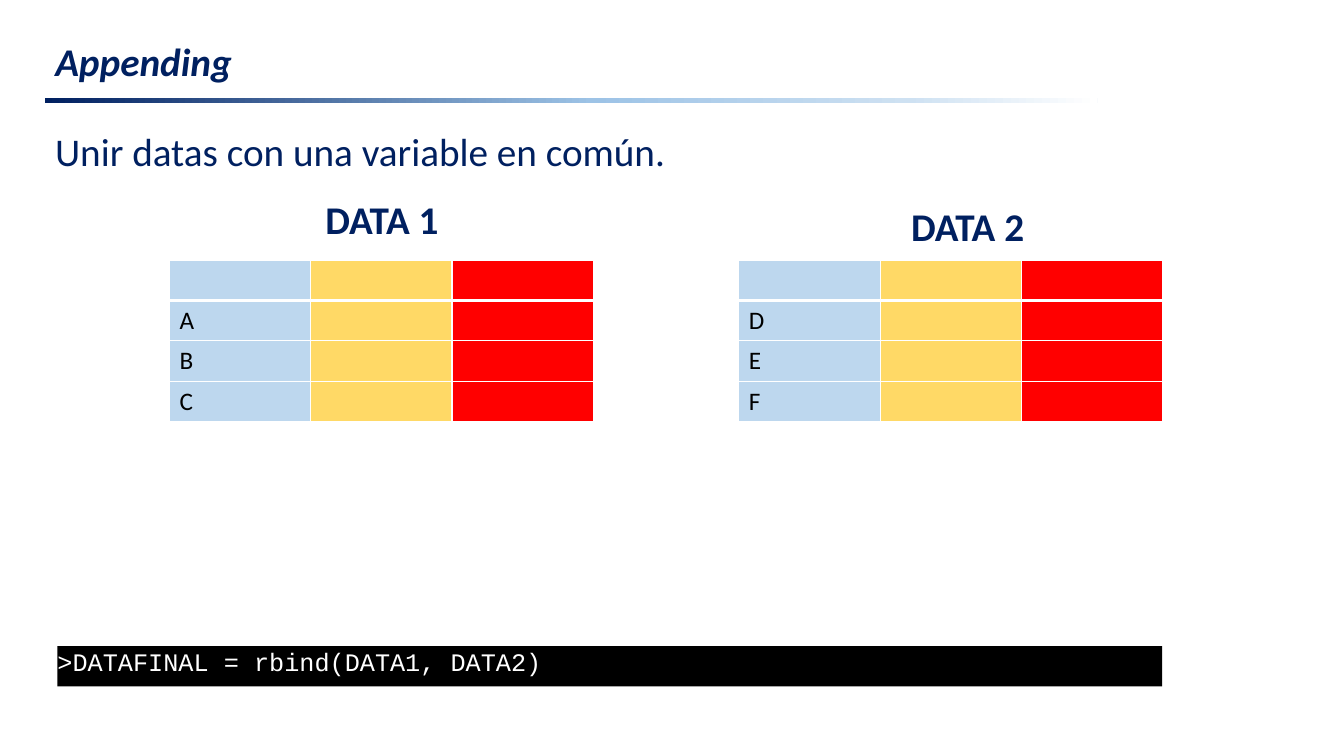
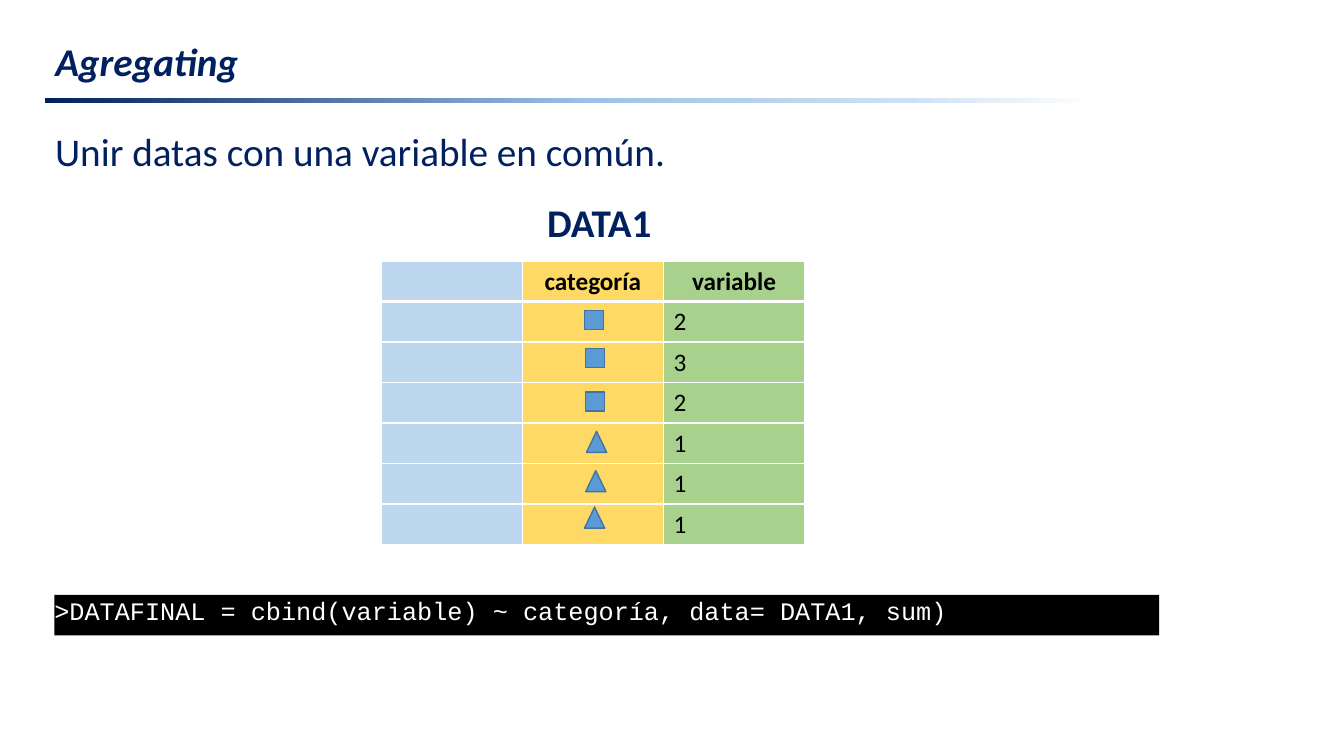
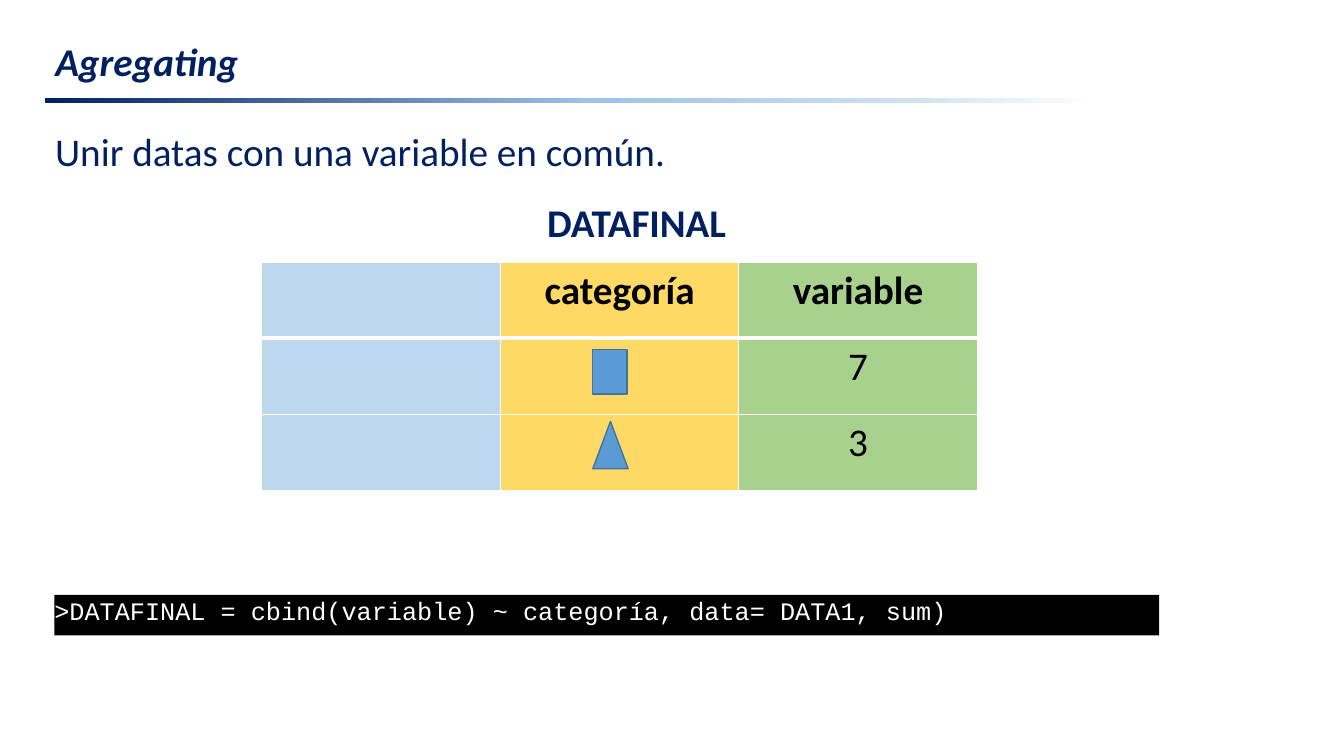
from lxml.etree import SubElement
from pptx import Presentation
from pptx.dml.color import RGBColor
from pptx.enum.shapes import MSO_SHAPE as Shape
from pptx.enum.text import MSO_ANCHOR as Anchor, MSO_AUTO_SIZE as AutoSize, PP_ALIGN as Align
from pptx.oxml.ns import qn
from pptx.util import Cm, Pt

NAVY, BLACK, WHITE = "002060", "000000", "FFFFFF"
BLUE, YELLOW, RED, GREEN = "BDD7EE", "FFD966", "FF0000", "A9D18E"
MARKER_FILL, MARKER_LINE = "5B9BD5", "43739E"
BAND_STOPS = [(0, NAVY), (52, "9DC3E6"), (82, "CEE1F2"), (100, WHITE)]
SUBTITLE = "Unir datas con una variable en común."
SQUARE, TRIANGLE = Shape.RECTANGLE, Shape.ISOSCELES_TRIANGLE

SUM_CODE = (">DATAFINAL = cbind(variable) ~ categoría, data= DATA1, sum)", 1.37, 14.99)
APPEND_LOOK = dict(top=6.55, col_width=3.56, row_height=1.02, size=18,
                   fills=(BLUE, YELLOW, RED), body_align=Align.LEFT)
HEADER = ("", "categoría", "variable")

# Lengths are centimetres; headings and code give text, left, top.
SLIDES = [
    dict(
        title="Appending",
        headings=[("DATA 1", 7.95, 4.8), ("DATA 2", 22.71, 4.98)],
        tables=[
            dict(APPEND_LOOK, left=left, rows=[("", "", "")] + [(key, "", "") for key in keys])
            for left, keys in ((4.27, "ABC"), (18.62, "DEF"))
        ],
        markers=[],
        code=(">DATAFINAL = rbind(DATA1, DATA2)", 1.45, 16.28),
    ),
    dict(
        title="Agregating",
        headings=[("DATA1", 13.54, 4.88)],
        tables=[dict(left=9.6, top=6.58, col_width=3.56, row_height=1.02, size=18,
                     fills=(BLUE, YELLOW, GREEN), body_align=Align.LEFT,
                     rows=[HEADER] + [("", "", value) for value in "232111"])],
        markers=[
            (SQUARE, (0.48, 0.48), [(14.73, 7.82), (14.76, 8.79), (14.76, 9.88)]),
            (TRIANGLE, (0.51, 0.53), [(14.78, 10.87), (14.76, 11.86), (14.73, 12.78)]),
        ],
        code=SUM_CODE,
    ),
    dict(
        title="Agregating",
        headings=[("DATAFINAL", 13.54, 4.88)],
        tables=[dict(left=6.6, top=6.6, col_width=6.01, row_height=1.92, size=28,
                     fills=(BLUE, YELLOW, GREEN), body_align=Align.CENTER,
                     rows=[HEADER] + [("", "", value) for value in "73"])],
        markers=[
            (SQUARE, (0.86, 1.12), [(14.94, 8.81)]),
            (TRIANGLE, (0.89, 1.19), [(14.94, 10.62)]),
        ],
        code=SUM_CODE,
    ),
]


def rgb(color):
    return RGBColor.from_string(color)


def box(*lengths):
    return [Cm(length) for length in lengths]


def write(frame, text, size=28, color=NAVY, bold=False, italic=False,
          font="Calibri", align=Align.LEFT):
    frame.text = text
    paragraph = frame.paragraphs[0]
    paragraph.alignment = align
    for part in [paragraph, *paragraph.runs]:
        part.font.name, part.font.size = font, Pt(size)
        part.font.bold, part.font.italic = bold, italic
        part.font.color.rgb = rgb(color)


def add_filled(slide, kind, place, fill, line=None):
    shape = slide.shapes.add_shape(kind, *place)
    shape.shadow.inherit = False
    shape.fill.solid()
    shape.fill.fore_color.rgb = rgb(fill)
    if line:
        shape.line.color.rgb = rgb(line)
        shape.line.width = Pt(1)
    else:
        shape.line.fill.background()
    return shape


def add_title(slide, text):
    title = slide.shapes.title
    title.left, title.top, title.width, title.height = box(1.14, 0.74, 27.64, 1.6)
    frame = title.text_frame
    frame.vertical_anchor, frame.auto_size = Anchor.MIDDLE, AutoSize.NONE
    write(frame, text, bold=True, italic=True)


def add_band(slide):
    band = add_filled(slide, Shape.RECTANGLE, box(1.14, 2.46, 26.52, 0.15), NAVY)
    band.fill.gradient()
    band.fill.gradient_angle = 0
    stops = band.element.spPr.find(".//" + qn("a:gsLst"))
    stops.clear()
    for percent, color in BAND_STOPS:
        stop = SubElement(stops, qn("a:gs"), pos=str(percent * 1000))
        SubElement(stop, qn("a:srgbClr"), val=color)


def add_label(slide, text, place, bold=False, wrap=False):
    frame = slide.shapes.add_textbox(*place).text_frame
    frame.word_wrap = wrap
    write(frame, text, bold=bold)
    return frame


def set_borders(cell, top, bottom):
    """Draw white cell borders; top and bottom are widths in points."""
    properties = cell._tc.get_or_add_tcPr()
    for side, width in (("L", 1), ("R", 1), ("T", top), ("B", bottom)):
        line = SubElement(properties, qn(f"a:ln{side}"), w=str(Pt(width)))
        SubElement(SubElement(line, qn("a:solidFill")), qn("a:srgbClr"), val=WHITE)


def add_data_table(slide, left, top, col_width, row_height, size, fills, body_align, rows):
    place = box(left, top, col_width * len(fills), row_height * len(rows))
    table = slide.shapes.add_table(len(rows), len(fills), *place).table
    table.first_row = table.horz_banding = False
    for column in table.columns:
        column.width = Cm(col_width)
    for r, values in enumerate(rows):
        table.rows[r].height = Cm(row_height)
        header = r == 0
        for c, (value, fill) in enumerate(zip(values, fills)):
            cell = table.cell(r, c)
            set_borders(cell, top=3 if r == 1 else 1, bottom=3 if header else 1)
            cell.fill.solid()
            cell.fill.fore_color.rgb = rgb(fill)
            write(cell.text_frame, value, size, BLACK, bold=header,
                  align=Align.CENTER if header else body_align)


def add_code(slide, text, left, top):
    bar = add_filled(slide, Shape.RECTANGLE, box(left, top, 27.84, 1.02), BLACK)
    frame = bar.text_frame
    frame.margin_left = frame.margin_top = frame.margin_right = 0
    frame.margin_bottom = Cm(0.25)
    frame.vertical_anchor = Anchor.MIDDLE
    write(frame, text, 18, WHITE, font="Courier New")


def main():
    deck = Presentation()
    deck.slide_width, deck.slide_height = Cm(33.87), Cm(19.05)
    for content in SLIDES:
        slide = deck.slides.add_slide(deck.slide_layouts[5])
        add_title(slide, content["title"])
        add_band(slide)
        subtitle = add_label(slide, SUBTITLE, box(1.14, 2.92, 31.93, 1.55), wrap=True)
        subtitle.paragraphs[0].line_spacing = 1.14
        for table in content["tables"]:
            add_data_table(slide, **table)
        for text, left, top in content["headings"]:
            width = 5.08 if text == "DATAFINAL" else 3.4 if " " in text else 3.18
            add_label(slide, text, box(left, top, width, 1.45), bold=True)
        for kind, size, corners in content["markers"]:
            for corner in corners:
                add_filled(slide, kind, box(*corner, *size), MARKER_FILL, MARKER_LINE)
        add_code(slide, *content["code"])
    deck.save("out.pptx")


if __name__ == "__main__":
    main()
